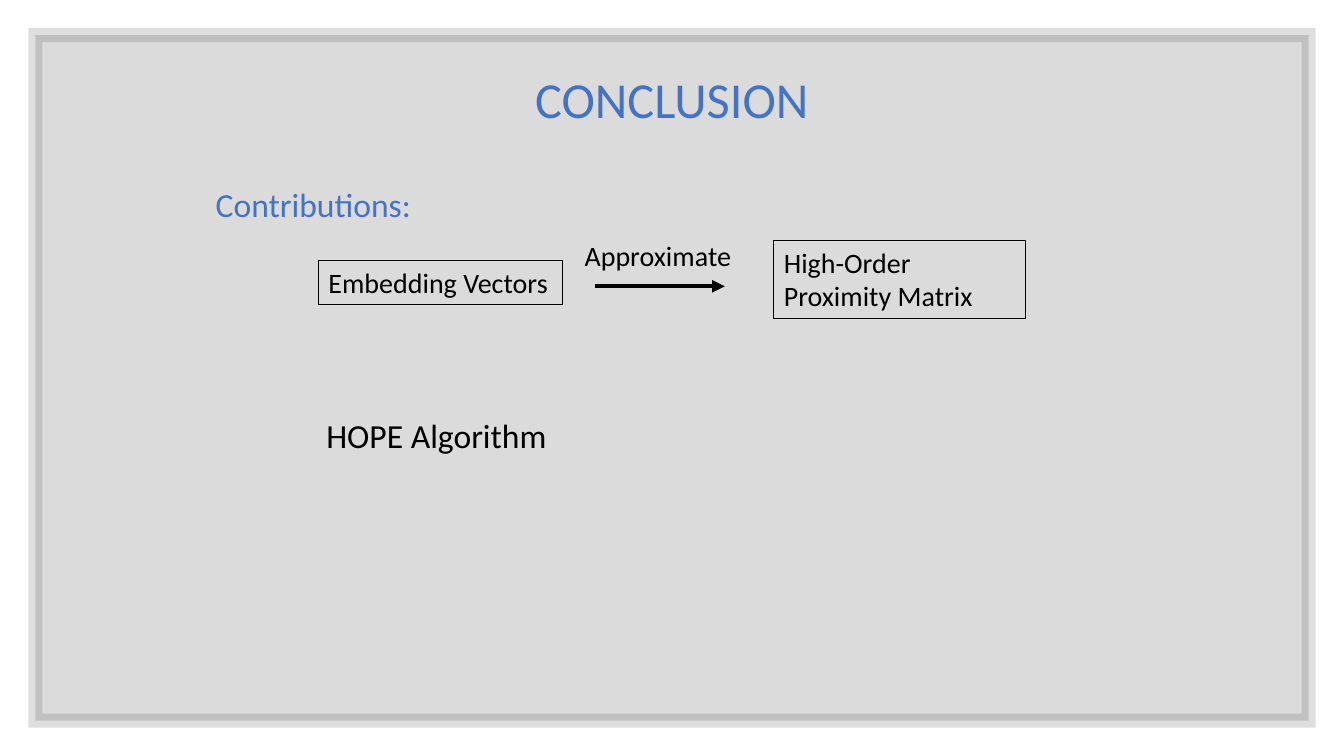
from lxml import etree
from pptx import Presentation
from pptx.dml.color import RGBColor
from pptx.enum.shapes import MSO_CONNECTOR, MSO_SHAPE
from pptx.enum.text import MSO_ANCHOR, PP_ALIGN
from pptx.oxml.ns import qn
from pptx.util import Pt

RECT = MSO_SHAPE.RECTANGLE
LINE = MSO_CONNECTOR.STRAIGHT
MIDDLE = MSO_ANCHOR.MIDDLE
CENTER = PP_ALIGN.CENTER
COLORS = {"ink": "000000", "edge": "262626", "blue": "4472C4"}


def rgb(name):
    return RGBColor.from_string(COLORS[name])


def label(text, box, size, color="ink"):
    """Add a wrapped text box and return it."""
    shape = slide.shapes.add_textbox(*map(Pt, box))
    frame = shape.text_frame
    frame.word_wrap = True
    para = frame.paragraphs[0]
    para.text = text
    para.font.name = "Calibri"
    para.font.size = Pt(size)
    para.font.color.rgb = rgb(color)
    return shape


deck = Presentation()
deck.slide_width, deck.slide_height = Pt(960), Pt(540)
slide = deck.slides.add_slide(deck.slide_layouts[6])

# Translucent panel with a translucent border
panel = slide.shapes.add_shape(RECT, Pt(25.2), Pt(25.2), Pt(909.6), Pt(489.6))
panel.shadow.inherit = False
panel.fill.solid()
panel.fill.fore_color.rgb = rgb("ink")
panel.line.color.rgb = rgb("edge")
panel.line.width = Pt(10)
fills = panel.element.spPr.iter(qn("a:srgbClr"))
for tint, alpha in zip(list(fills), (14, 15)):
    etree.SubElement(tint, qn("a:alpha"), val=str(alpha * 1000))
etree.SubElement(panel.line._get_or_add_ln(), qn("a:miter"), lim="800000")

# Headings
title = label("CONCLUSION", (66, 41, 828, 64), 36, "blue").text_frame
title.vertical_anchor = MIDDLE
title.paragraphs[0].alignment = CENTER
title.paragraphs[0].line_spacing = 0.9
label("Contributions:", (147, 128, 158, 36), 24, "blue")

# Embedding vectors approximate the proximity matrix
for text, box in (
    ("Embedding Vectors", (227.5, 186.2, 174.2, 31.5)),
    ("High-Order Proximity Matrix", (552.8, 171.6, 180, 55.6)),
):
    node = label(text, box, 20)
    node.line.color.rgb = rgb("ink")
    node.line.width = Pt(0.75)

arrow = slide.shapes.add_connector(LINE, Pt(425), Pt(204.5), Pt(517.7), Pt(204.5))
arrow.line.color.rgb = rgb("ink")
arrow.line.width = Pt(3)
etree.SubElement(arrow.line._get_or_add_ln(), qn("a:tailEnd"), type="triangle")
etree.SubElement(arrow.element.spPr, qn("a:effectLst"))
label("Approximate", (410.5, 167, 125.3, 31.5), 20)

label("HOPE Algorithm", (226, 293, 217.5, 36), 24)

deck.save("out.pptx")
